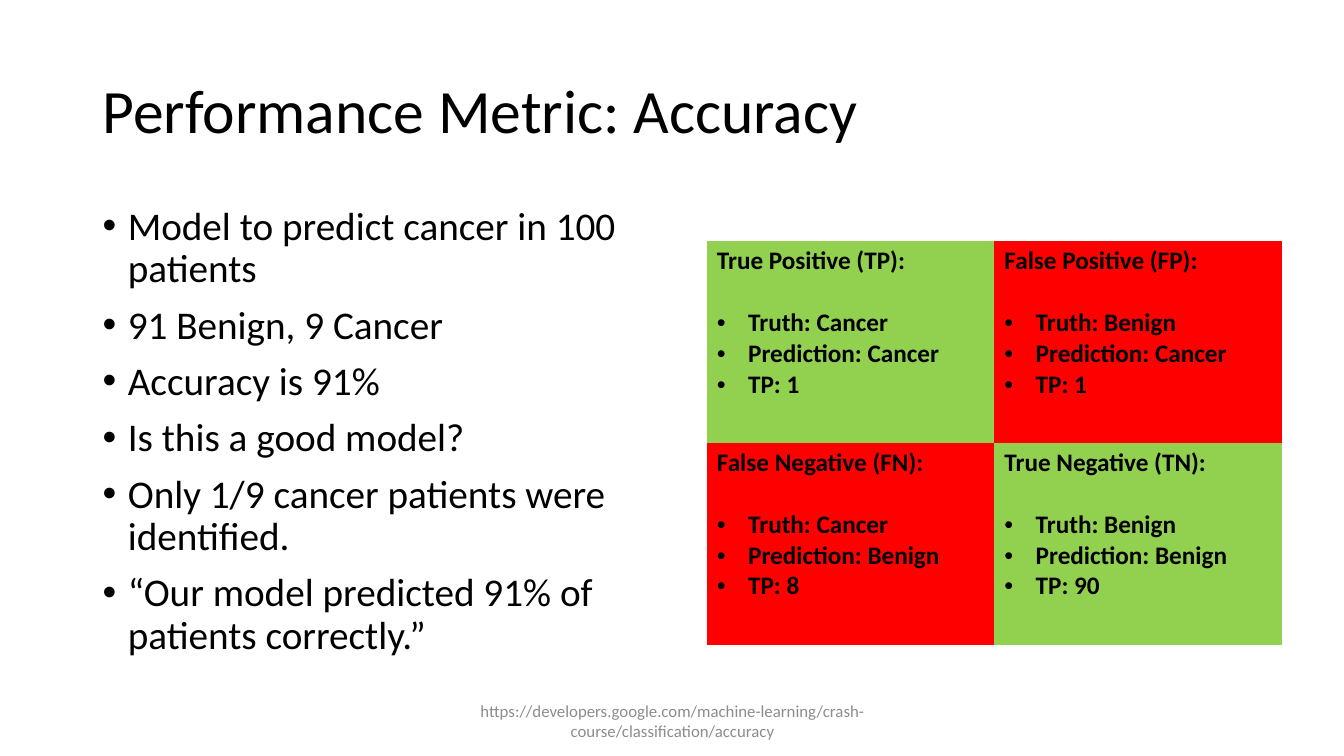
from dataclasses import dataclass

from lxml.etree import SubElement
from pptx import Presentation
from pptx.dml.color import RGBColor
from pptx.enum.text import MSO_ANCHOR, PP_ALIGN
from pptx.oxml.ns import qn
from pptx.slide import Slide
from pptx.table import _Cell
from pptx.text.text import TextFrame, _Paragraph
from pptx.util import Inches, Pt

WIDTH, HEIGHT = Inches(13.33), Inches(7.5)
GREEN, RED, BLACK, GREY = "92D050", "FF0000", "000000", "8C8C8C"


@dataclass
class Area:
    """A place on the slide, in percent of its width and height."""

    left: float
    top: float
    width: float
    height: float

    def frame(self) -> tuple[int, int, int, int]:
        """Return left, top, width and height as lengths."""
        return (
            int(WIDTH * self.left / 100),
            int(HEIGHT * self.top / 100),
            int(WIDTH * self.width / 100),
            int(HEIGHT * self.height / 100),
        )


@dataclass
class Style:
    """The look of a run."""

    size: int
    tone: str = BLACK
    bold: bool = False


@dataclass
class Result:
    """One cell of the confusion matrix."""

    name: str
    truth: str
    guess: str
    count: str
    fill: str


TITLE = Area(6.9, 5.33, 86.27, 19.33)
BODY = Area(6.9, 26.67, 42.54, 63.47)
MATRIX = Area(52.59, 31.87, 42.8, 53.4)
SOURCE = Area(33.16, 92.67, 33.76, 5.33)

POINTS = [
    "Model to predict cancer in 100 patients",
    "91 Benign, 9 Cancer",
    "Accuracy is 91%",
    "Is this a good model?",
    "Only 1/9 cancer patients were identified.",
    "“Our model predicted 91% of patients correctly.”",
]
RESULTS = [
    [
        Result("True Positive (TP):", "Cancer", "Cancer", "1", GREEN),
        Result("False Positive (FP):", "Benign", "Cancer", "1", RED),
    ],
    [
        Result("False Negative (FN):", "Cancer", "Benign", "8", RED),
        Result("True Negative (TN):", "Benign", "Benign", "90", GREEN),
    ],
]


def color(code: str) -> RGBColor:
    """Turn a hex string into a colour."""
    return RGBColor.from_string(code)


def write(para: _Paragraph, text: str, style: Style) -> None:
    """Add one styled run to a paragraph."""
    run = para.add_run()
    run.text = text
    run.font.name = "Calibri"
    run.font.size = Pt(style.size)
    run.font.bold = style.bold
    run.font.color.rgb = color(style.tone)


def bullet(para: _Paragraph, indent: float) -> None:
    """Give a paragraph a hanging bullet."""
    props = para._p.get_or_add_pPr()
    props.set("marL", str(Inches(indent)))
    props.set("indent", str(-Inches(indent)))
    SubElement(props, qn("a:buFont"), typeface="Arial")
    SubElement(props, qn("a:buChar"), char="•")


def box(slide: Slide, area: Area, anchor: MSO_ANCHOR) -> TextFrame:
    """Add a wrapping text box and return its frame."""
    frame = slide.shapes.add_textbox(*area.frame()).text_frame
    frame.word_wrap = True
    frame.vertical_anchor = anchor
    return frame


def points(slide: Slide) -> None:
    """Draw the bullet list."""
    frame = box(slide, BODY, MSO_ANCHOR.TOP)
    for index, text in enumerate(POINTS):
        para = frame.add_paragraph() if index else frame.paragraphs[0]
        bullet(para, 0.25)
        para.line_spacing = 0.9
        para.space_before = Pt(10 if index else 0)
        write(para, text, Style(28))


def fill(cell: _Cell, result: Result) -> None:
    """Colour a cell without borders and write its result."""
    props = cell._tc.get_or_add_tcPr()
    for side in "LRTB":
        SubElement(SubElement(props, qn(f"a:ln{side}")), qn("a:noFill"))
    cell.fill.solid()
    cell.fill.fore_color.rgb = color(result.fill)
    style = Style(18, bold=True)
    write(cell.text_frame.paragraphs[0], result.name, style)
    facts = [
        f"Truth: {result.truth}",
        f"Prediction: {result.guess}",
        f"TP: {result.count}",
    ]
    for index, fact in enumerate(facts):
        para = cell.text_frame.add_paragraph()
        bullet(para, 0.31)
        para.space_before = Pt(0 if index else 22)
        write(para, fact, style)


def matrix(slide: Slide) -> None:
    """Draw the confusion matrix."""
    table = slide.shapes.add_table(2, 2, *MATRIX.frame()).table
    table.first_row = table.horz_banding = False
    for row, line in enumerate(RESULTS):
        for col, result in enumerate(line):
            fill(table.cell(row, col), result)


def main() -> None:
    """Build and save the slide."""
    deck = Presentation()
    deck.slide_width, deck.slide_height = WIDTH, HEIGHT
    slide = deck.slides.add_slide(deck.slide_layouts[6])
    title = box(slide, TITLE, MSO_ANCHOR.MIDDLE).paragraphs[0]
    title.line_spacing = 0.9
    write(title, "Performance Metric: Accuracy", Style(44))
    points(slide)
    matrix(slide)
    source = box(slide, SOURCE, MSO_ANCHOR.MIDDLE).paragraphs[0]
    source.alignment = PP_ALIGN.CENTER
    link = "https://developers.google.com/machine-learning/crash-course/classification/accuracy"
    write(source, link, Style(12, GREY))
    deck.save("out.pptx")


if __name__ == "__main__":
    main()
